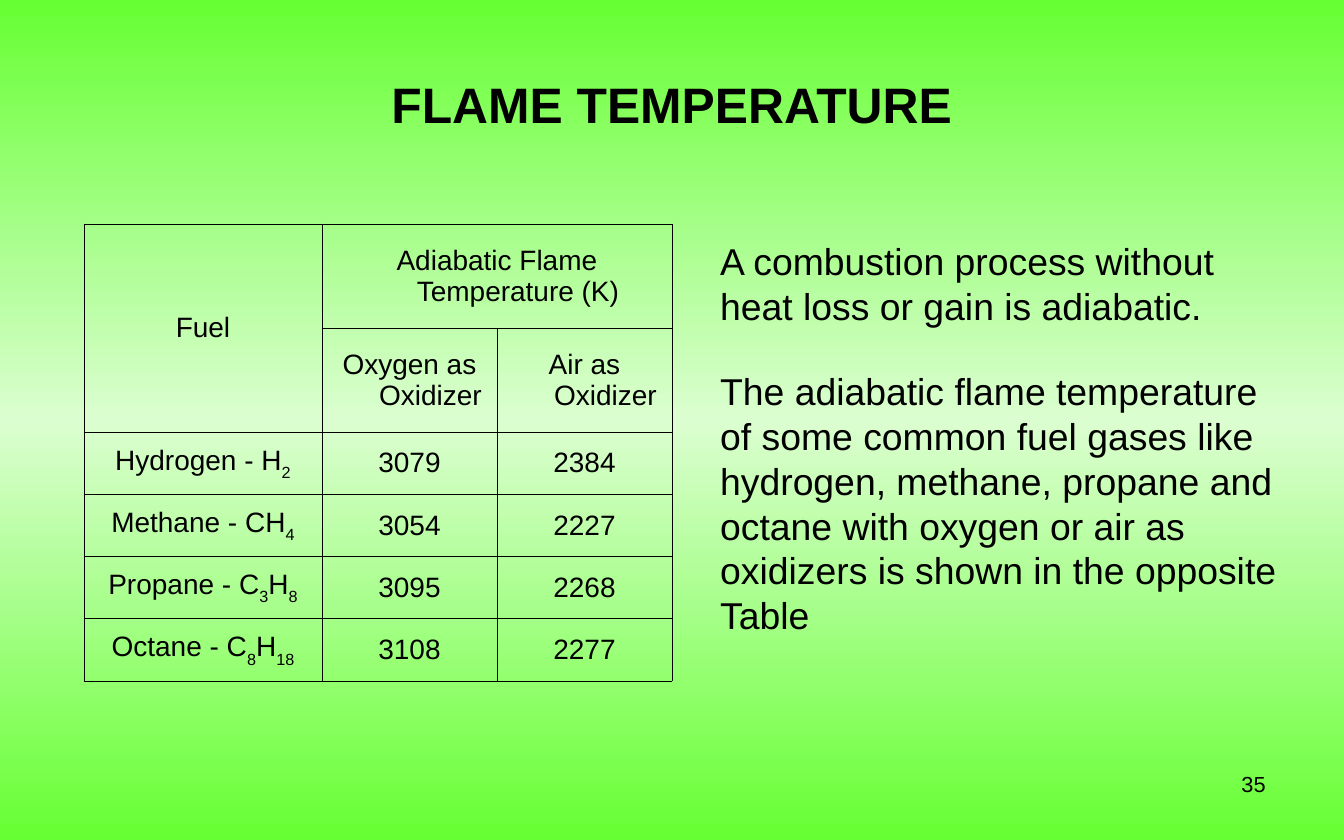
"""Build the flame temperature slide with its table of adiabatic flame temperatures."""
from copy import deepcopy

from lxml import etree
from pptx import Presentation
from pptx.dml.color import RGBColor
from pptx.enum import text as t
from pptx.oxml import ns
from pptx.util import Pt

BLACK = RGBColor(0x00, 0x00, 0x00)
GREEN = RGBColor(0x66, 0xFF, 0x33)
PALE_GREEN = RGBColor(0xDB, 0xFE, 0xD0)
HANGING = Pt(27)


def set_font(font, size, bold=False):
    for name, value in {"name": "Arial", "size": Pt(size), "bold": bold}.items():
        setattr(font, name, value)
    font.color.rgb = BLACK


def place(box, left, top, width, height):
    bounds = {"left": left, "top": top, "width": width, "height": height}
    for name, value in bounds.items():
        setattr(box, name, Pt(value))
    box.text_frame.word_wrap = True
    box.text_frame.auto_size = t.MSO_AUTO_SIZE.NONE


prs = Presentation()
prs.slide_width, prs.slide_height = Pt(864), Pt(540)
slide = prs.slides.add_slide(prs.slide_layouts[1])

backdrop = slide.background.fill
backdrop.gradient()
backdrop.gradient_angle = 270
stop_list = slide.background._cSld.find(".//" + ns.qn("a:gsLst"))
stop_list.insert(1, deepcopy(stop_list[0]))
for stop, position, color in zip(backdrop.gradient_stops, (0, 0.5, 1), (GREEN, PALE_GREEN, GREEN)):
    stop.position = position
    stop.color.rgb = color

heading = slide.shapes.title
place(heading, 43.2, 21.6, 777.6, 90)
heading.text_frame.vertical_anchor = t.MSO_ANCHOR.MIDDLE
heading.text_frame.text = "FLAME TEMPERATURE"
heading.text_frame.paragraphs[0].alignment = t.PP_ALIGN.CENTER
set_font(heading.text_frame.paragraphs[0].font, 32, bold=True)

explanation = slide.placeholders[1]
place(explanation, 455.76, 149.76, 372.24, 356.4)
explanation.text_frame.text = (
    "A combustion process without heat loss or gain is adiabatic.\n"
    "The adiabatic flame temperature of some common fuel gases like hydrogen, methane, "
    "propane and octane with oxygen or air as oxidizers is shown in the opposite Table"
)
for statement, gap in zip(explanation.text_frame.paragraphs, (0, 25.8)):
    properties = statement._p.get_or_add_pPr()
    properties.set("marL", "0")
    properties.set("indent", "0")
    etree.SubElement(properties, ns.qn("a:buNone"))
    statement.space_before = Pt(gap)
    statement.line_spacing = Pt(28.8)
    set_font(statement.font, 24)

rows = [
    ("Fuel", "Adiabatic Flame Temperature (K)", ""),
    ("", "Oxygen as Oxidizer", "Air as Oxidizer"),
    (("Hydrogen - H", "2"), "3079", "2384"),
    (("Methane - CH", "4"), "3054", "2227"),
    (("Propane - C", "3", "H", "8"), "3095", "2268"),
    (("Octane - C", "8", "H", "18"), "3108", "2277"),
]
temperatures = slide.shapes.add_table(6, 3, Pt(54), Pt(144), Pt(378), Pt(293.76)).table
temperatures.first_row = temperatures.horz_banding = False
for column, width in zip(temperatures.columns, (153, 112.5, 112.5)):
    column.width = Pt(width)
for row, height in zip(temperatures.rows, (66.9, 66.9, 40, 40, 40, 40)):
    row.height = Pt(height)
temperatures.cell(0, 0).merge(temperatures.cell(1, 0))
temperatures.cell(0, 1).merge(temperatures.cell(0, 2))

for row_index, entries in enumerate(rows):
    for column_index, entry in enumerate(entries):
        cell = temperatures.cell(row_index, column_index)
        cell.vertical_anchor = t.MSO_ANCHOR.MIDDLE
        cell.fill.background()
        cell_properties = cell._tc.get_or_add_tcPr()
        for order, side in enumerate(("lnL", "lnR", "lnT", "lnB")):
            border = etree.Element(ns.qn("a:" + side), w=str(Pt(0.45)))
            paint = etree.SubElement(border, ns.qn("a:solidFill"))
            etree.SubElement(paint, ns.qn("a:srgbClr"), val=str(BLACK))
            cell_properties.insert(order, border)
        if not entry:
            continue
        label = cell.text_frame.paragraphs[0]
        label.alignment = t.PP_ALIGN.CENTER
        label._p.get_or_add_pPr().set("marL", str(HANGING))
        label._p.get_or_add_pPr().set("indent", str(-HANGING))
        for part_index, part in enumerate((entry,) if isinstance(entry, str) else entry):
            run = label.add_run()
            run.text = part
            set_font(run.font, 18)
            if part_index % 2:
                run.font._element.set("baseline", "-30000")

page_number = slide.shapes.add_textbox(0, 0, 0, 0)
place(page_number, 619.2, 491.76, 201.6, 37.44)
page_number.text_frame.text = "35"
page_number.text_frame.paragraphs[0].alignment = t.PP_ALIGN.RIGHT
set_font(page_number.text_frame.paragraphs[0].font, 14)

prs.save("out.pptx")
